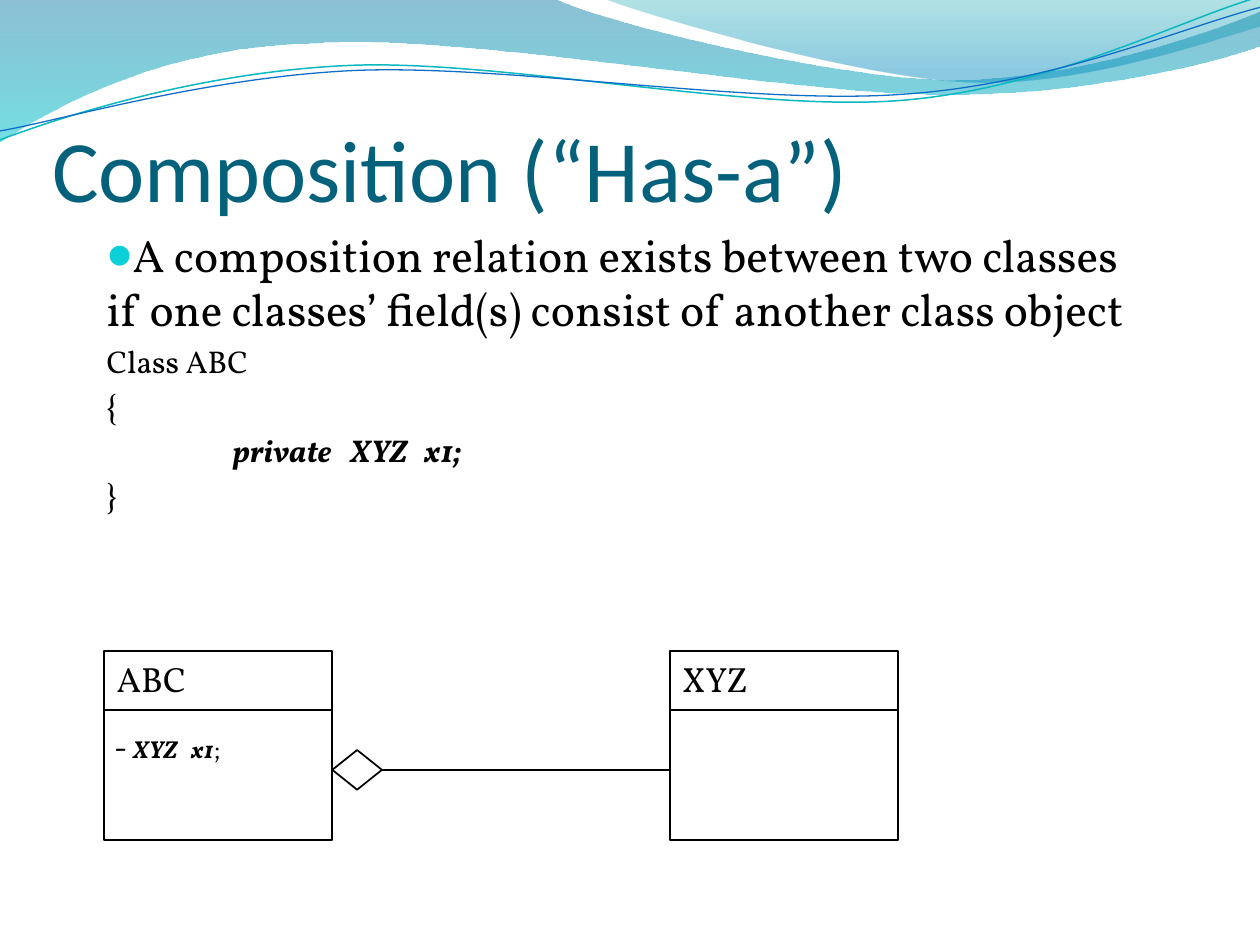
import pptx
import pptx.util
import pptx.dml.color
import pptx.enum.shapes
import pptx.enum.text
import pptx.oxml
import pptx.oxml.ns

Cm = pptx.util.Cm
Pt = pptx.util.Pt
RGBColor = pptx.dml.color.RGBColor
SHAPES = pptx.enum.shapes.MSO_SHAPE
ANCHOR = pptx.enum.text.MSO_ANCHOR
LEFT = pptx.enum.text.PP_ALIGN.LEFT
NAMESPACE = pptx.oxml.ns.nsdecls("a")

BLACK = RGBColor(0x00, 0x00, 0x00)
TITLE_TEAL = RGBColor(0x04, 0x61, 0x7B)
BULLET_CYAN = RGBColor(0x0B, 0xD0, 0xD9)
LINE_CYAN = RGBColor(0x0A, 0xB8, 0xBF)
LINE_BLUE = RGBColor(0x0F, 0x6F, 0xC6)
WAVE_BLUE = RGBColor(0x00, 0x74, 0xA1)
WAVE_CYAN = RGBColor(0x00, 0xC6, 0xCF)
CREST_TEAL = RGBColor(0x00, 0xA1, 0xA9)
CREST_BLUE = RGBColor(0x00, 0x8B, 0xBF)

BODY_FONT = "Vollkorn"
BOX_TOP, BOX_WIDTH, BOX_HEIGHT = 13.13, 4.6, 3.81
HEADER_HEIGHT = 1.19
LEFT_BOX, RIGHT_BOX = 2.1, 13.5
DIAMOND_WIDTH, DIAMOND_HEIGHT = 1.0, 0.8
LINK_Y = 15.52

WAVES = [
    ([(0, 0), (11.18, -0.03), (12.09, 0.43, 16.87, 1.6, 19.25, 1.6),
      (21.67, 1.6, 24.33, 0.66, 25.4, 0.23), (25.43, 0.91),
      (24.97, 1.12, 22.1, 1.93, 18.95, 1.9), (15.8, 1.9, 9.7, 0.71, 6.53, 0.86),
      (3.28, 0.91, 1.17, 2.11, -0.03, 2.87)],
     [(0, WAVE_BLUE, 45), (100, WAVE_CYAN, 55)]),
    ([(12.17, -0.03), (12.93, 0.28, 17.32, 1.57, 19.53, 1.65),
      (21.74, 1.75, 24.41, 0.81, 25.4, 0.53), (25.4, 0)],
     [(0, CREST_TEAL, 30), (80, CREST_BLUE, 45)]),
]
WAVE_LINES = [
    ([(0, 2.82), (1.22, 2.36, 4.01, 1.45, 7.04, 1.32),
      (10.03, 1.19, 15.06, 2.26, 18.11, 2.03),
      (21.16, 1.8, 23.83, 0.38, 25.35, -0.05)], LINE_CYAN, 0.85),
    ([(0, 2.64), (1.19, 2.44, 4.17, 1.55, 7.19, 1.42),
      (10.24, 1.3, 15.16, 2.13, 18.21, 1.9),
      (21.23, 1.7, 23.9, 0.53, 25.4, 0.15)], LINE_BLUE, 0.75),
]
CODE_LINES = [("Class ABC", {}), ("{", {}),
              ("\tprivate\tXYZ\tx1;", {"bold": True, "italic": True}), ("}", {})]


def set_values(target, values):
    for name, value in values.items():
        setattr(target, name, value)


def add_run(paragraph, text, size, color=BLACK, **values):
    run = paragraph.add_run()
    run.text = text
    run.font.color.rgb = color
    set_values(run.font, {"name": BODY_FONT, "size": Pt(size), **values})


def set_line(line, color=BLACK, width=1):
    line.color.rgb = color
    line.width = Pt(width)


def set_tab_stops(paragraph, positions):
    stops = "".join(f'<a:tab pos="{Cm(position)}" algn="l"/>' for position in positions)
    tab_list = pptx.oxml.parse_xml(f"<a:tabLst {NAMESPACE}>{stops}</a:tabLst>")
    paragraph._p.get_or_add_pPr().append(tab_list)


def set_bullet(paragraph):
    properties = paragraph._p.get_or_add_pPr()
    for content in (f'<a:buClr {NAMESPACE}><a:srgbClr val="{BULLET_CYAN}"/></a:buClr>',
                    f'<a:buSzPct {NAMESPACE} val="95000"/>',
                    f'<a:buFont {NAMESPACE} typeface="Calibri"/>',
                    f'<a:buChar {NAMESPACE} char="●"/>'):
        properties.append(pptx.oxml.parse_xml(content))


def bend_curves(shape, segments):
    lines = list(shape._element.iter(pptx.oxml.ns.qn("a:lnTo")))
    for segment in segments[1:]:
        count = len(segment) // 2
        group, lines = lines[:count], lines[count:]
        if count == 3:
            curve = pptx.oxml.parse_xml(f"<a:cubicBezTo {NAMESPACE}/>")
            group[0].addprevious(curve)
            for line in group:
                curve.append(line[0])
                line.getparent().remove(line)


def add_outline(slide, segments, close):
    points = [(Cm(segment[index]), Cm(segment[index + 1]))
              for segment in segments for index in range(0, len(segment), 2)]
    builder = slide.shapes.build_freeform(*points[0])
    builder.add_line_segments(points[1:], close=close)
    shape = builder.convert_to_shape()
    bend_curves(shape, segments)
    shape.shadow.inherit = False
    return shape


def add_wave(slide, segments, stops):
    shape = add_outline(slide, segments, True)
    shape.line.fill.background()
    shape.fill.background()
    stop_list = "".join(
        f'<a:gs pos="{position * 1000}"><a:srgbClr val="{color}">'
        f'<a:alpha val="{opacity * 1000}"/></a:srgbClr></a:gs>'
        for position, color, opacity in stops)
    gradient = pptx.oxml.parse_xml(
        f'<a:gradFill {NAMESPACE} rotWithShape="1"><a:gsLst>{stop_list}</a:gsLst>'
        '<a:lin ang="5400000" scaled="0"/></a:gradFill>')
    properties = shape._element.spPr
    properties.replace(properties.find(pptx.oxml.ns.qn("a:noFill")), gradient)


def add_wave_line(slide, segments, color, width):
    shape = add_outline(slide, segments, False)
    shape.fill.background()
    set_line(shape.line, color, width)


def add_outlined_shape(slide, kind, left, top, width, height):
    shape = slide.shapes.add_shape(kind, Cm(left), Cm(top), Cm(width), Cm(height))
    shape.shadow.inherit = False
    shape.fill.background()
    set_line(shape.line)
    return shape


def add_horizontal_line(slide, start, end, y):
    connector = slide.shapes.add_connector(
        pptx.enum.shapes.MSO_CONNECTOR.STRAIGHT, Cm(start), Cm(y), Cm(end), Cm(y))
    set_line(connector.line)
    connector._element.spPr.append(pptx.oxml.parse_xml(f"<a:effectLst {NAMESPACE}/>"))


def add_class_box(slide, name, left):
    box = add_outlined_shape(slide, SHAPES.RECTANGLE, left, BOX_TOP, BOX_WIDTH, BOX_HEIGHT)
    set_values(box.text_frame, {"vertical_anchor": ANCHOR.TOP, "word_wrap": False})
    paragraph = box.text_frame.paragraphs[0]
    paragraph.alignment = LEFT
    add_run(paragraph, name, 20)
    add_horizontal_line(slide, left, left + BOX_WIDTH, BOX_TOP + HEADER_HEIGHT)


def add_text_box(slide, left, top, width, height):
    frame = slide.shapes.add_textbox(Cm(left), Cm(top), Cm(width), Cm(height)).text_frame
    frame.word_wrap = True
    return frame


def set_title(slide, text):
    title = slide.shapes.title
    set_values(title, {"left": Cm(1.05), "top": Cm(1.26),
                       "width": Cm(22.86), "height": Cm(3.18)})
    set_values(title.text_frame, {
        "vertical_anchor": ANCHOR.BOTTOM, "word_wrap": True,
        "auto_size": pptx.enum.text.MSO_AUTO_SIZE.NONE,
        "margin_left": 0, "margin_right": 0, "margin_bottom": 0})
    paragraph = title.text_frame.paragraphs[0]
    paragraph.alignment = LEFT
    add_run(paragraph, text, 50, TITLE_TEAL, name="Calibri")


def add_body(slide):
    frame = add_text_box(slide, 1.9, 4.45, 21.6, 7.09)
    paragraph = frame.paragraphs[0]
    paragraph.space_before = Pt(5.2)
    set_bullet(paragraph)
    add_run(paragraph, "A composition relation exists between two classes "
            "if one classes’ field(s) consist of another class object", 26)
    for text, values in CODE_LINES:
        paragraph = frame.add_paragraph()
        paragraph.space_before = Pt(3.6)
        if "\t" in text:
            set_tab_stops(paragraph, (2.54, 4.91, 6.41))
        add_run(paragraph, text, 18, **values)


def add_field_label(slide):
    frame = add_text_box(slide, 2.3, 14.53, 2.59, 1.04)
    frame.margin_left = 0
    paragraph = frame.paragraphs[0]
    set_tab_stops(paragraph, (1.56,))
    add_run(paragraph, "- ", 18)
    add_run(paragraph, "XYZ\tx1", 14, bold=True, italic=True)
    add_run(paragraph, ";", 14)


def main():
    presentation = pptx.Presentation()
    set_values(presentation, {"slide_width": Cm(25.4), "slide_height": Cm(19.05)})
    slide = presentation.slides.add_slide(presentation.slide_layouts[5])
    for segments, stops in WAVES:
        add_wave(slide, segments, stops)
    for segments, color, width in WAVE_LINES:
        add_wave_line(slide, segments, color, width)
    set_title(slide, "Composition (“Has-a”)")
    add_body(slide)
    add_class_box(slide, "ABC", LEFT_BOX)
    add_class_box(slide, "XYZ", RIGHT_BOX)
    diamond_left = LEFT_BOX + BOX_WIDTH
    add_outlined_shape(slide, SHAPES.DIAMOND, diamond_left, LINK_Y - DIAMOND_HEIGHT / 2,
                       DIAMOND_WIDTH, DIAMOND_HEIGHT)
    add_horizontal_line(slide, diamond_left + DIAMOND_WIDTH, RIGHT_BOX, LINK_Y)
    add_field_label(slide)
    presentation.save("out.pptx")


main()
